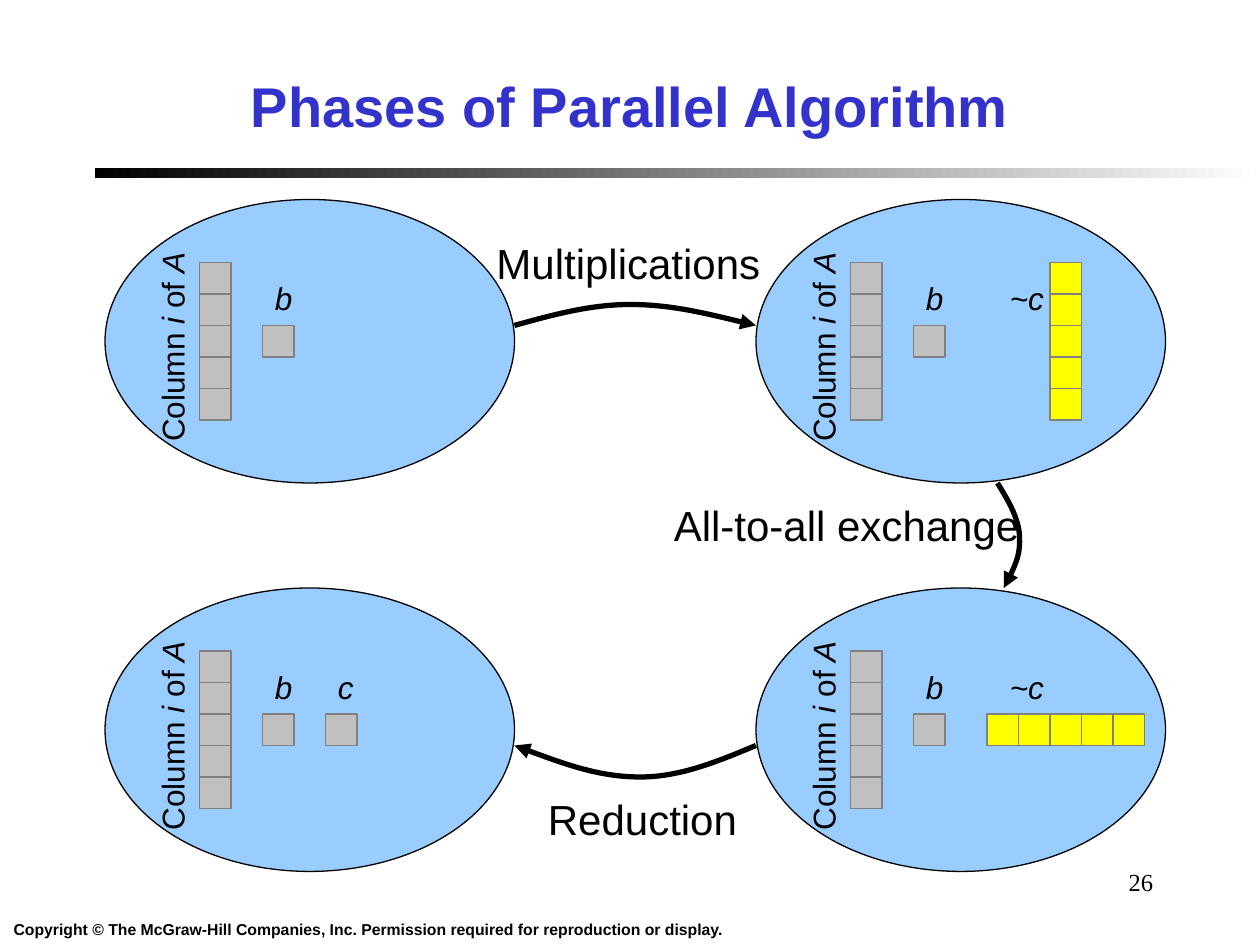
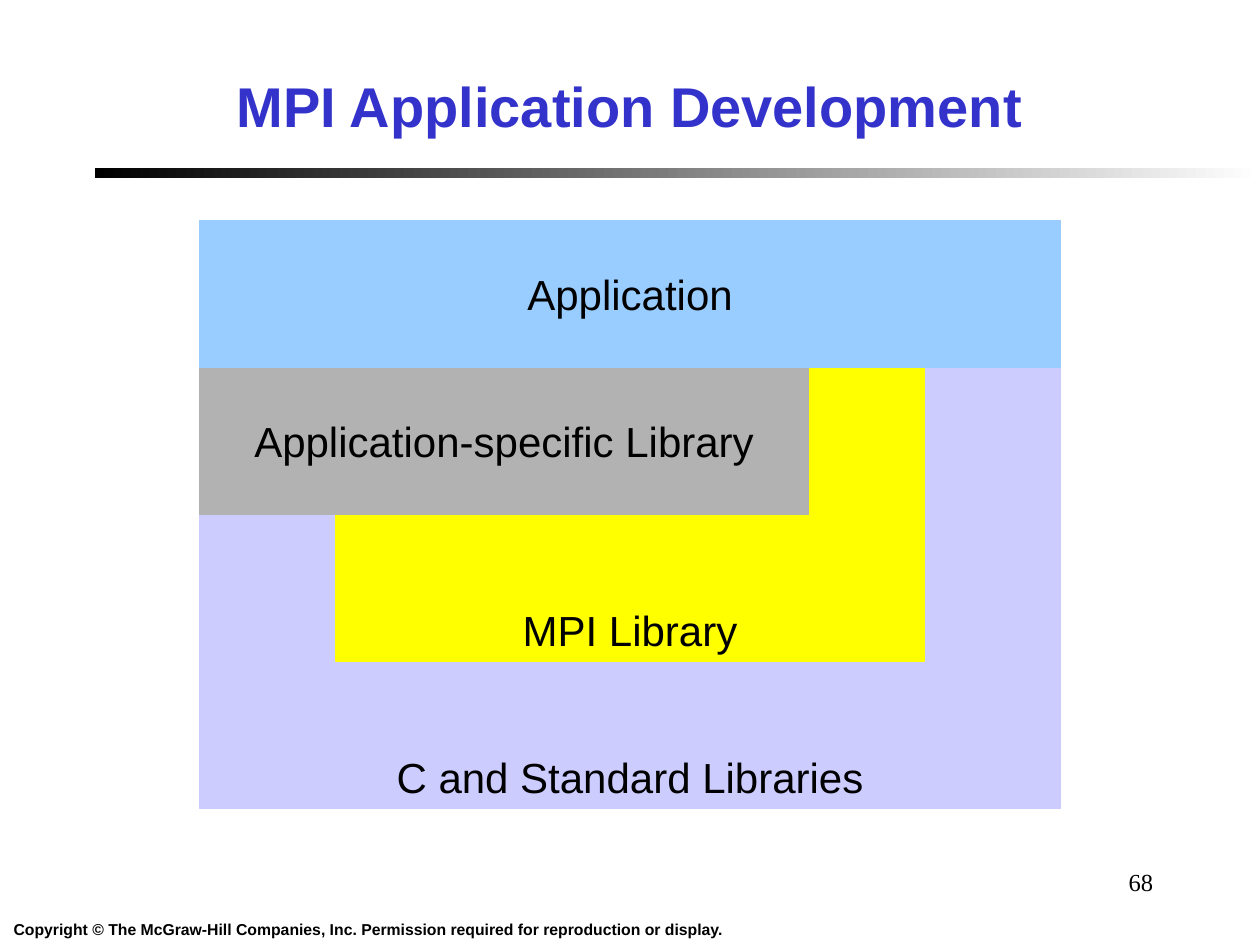
from lxml.etree import SubElement
from pptx import Presentation
from pptx.dml.color import RGBColor
from pptx.enum.shapes import MSO_SHAPE
from pptx.enum.text import MSO_ANCHOR, PP_ALIGN
from pptx.oxml.ns import qn
from pptx.util import Pt

SCALE = 7620
COLORS = {
    "title": "3333CC", "text": "000000", "fade": "FFFFFF", "process": "99CCFF",
    "cell": "C0C0C0", "cell_edge": "808080", "partial": "FFFF00",
    "standard": "CCCCFF", "specific": "B2B2B2",
}
COPYRIGHT = ("Copyright © The McGraw-Hill Companies, Inc. "
             "Permission required for reproduction or display.")

CELL = 30
COLUMN_LENGTH = 5
PROCESS_SIZE = (390, 270)
COLUMN_LABEL = [("Column ", False), ("i", True), (" of ", False), ("A", True)]
COLUMN_CELLS = (90, 60, 0, 1, COLUMN_LENGTH, "cell")
B_CELL = (150, 120, 0, 0, 1, "cell")
B_LABEL = ("b", 150)
PARTIAL_LABEL = ("~c", 230)
LABEL_WIDTH = 70

PROCESSES = [
    {"at": (100, 190), "cells": [], "labels": []},
    {"at": (720, 190), "cells": [(280, 60, 0, 1, COLUMN_LENGTH, "partial")],
     "labels": [PARTIAL_LABEL]},
    {"at": (720, 560), "cells": [(220, 120, 1, 0, COLUMN_LENGTH, "partial")],
     "labels": [PARTIAL_LABEL]},
    {"at": (100, 560), "cells": [(210, 120, 0, 0, 1, "cell")],
     "labels": [("c", 210)]},
]

STEPS = [
    ("Multiplications", (461, 220, 275, 60),
     [(490, 310), (526, 300), (562, 290), (600, 290), (638, 290), (679, 300), (720, 310)]),
    ("All-to-all exchange", (630, 470, 353, 60),
     [(950, 460), (960, 476), (970, 493), (971, 510), (972, 527), (965, 544), (956, 560)]),
    ("Reduction", (510, 750, 204, 60),
     [(720, 710), (684, 725), (648, 740), (610, 740), (571, 740), (530, 725), (490, 710)]),
]

LAYERS = [
    ("C and Standard Libraries", (190, 350, 820, 420), "standard", MSO_ANCHOR.BOTTOM),
    ("MPI Library", (320, 350, 560, 280), "partial", MSO_ANCHOR.BOTTOM),
    ("Application-specific Library", (190, 350, 580, 140), "specific", MSO_ANCHOR.MIDDLE),
    ("Application", (190, 210, 820, 140), "process", MSO_ANCHOR.MIDDLE),
]


def emu(*lengths):
    return [round(length * SCALE) for length in lengths]


def color(name):
    return RGBColor.from_string(COLORS[name])


def write(box, spans, size, align=PP_ALIGN.LEFT, anchor=MSO_ANCHOR.TOP, wrap=False,
          bold=False, ink="text", font="Arial"):
    frame = box.text_frame
    frame.word_wrap = wrap
    frame.vertical_anchor = anchor
    frame.margin_left, frame.margin_top, frame.margin_right, frame.margin_bottom = emu(12, 6, 12, 6)
    para = frame.paragraphs[0]
    para.alignment = align
    for text, italic in spans:
        span = para.add_run()
        span.text = text
        span.font.name = font
        span.font.size = Pt(size)
        span.font.bold = bold
        span.font.italic = italic
        span.font.color.rgb = color(ink)


def add_text(page, area, spans, size, **style):
    box = page.shapes.add_textbox(*emu(*area))
    write(box, spans, size, **style)
    return box


def add_block(page, kind, area, fill, edge):
    block = page.shapes.add_shape(kind, *emu(*area))
    block.shadow.inherit = False
    block.fill.solid()
    block.fill.fore_color.rgb = color(fill)
    block.line.color.rgb = color(edge)
    block.line.width = Pt(0.75)
    return block


def add_curved_arrow(page, points):
    start, *rest = [emu(*point) for point in points]
    builder = page.shapes.build_freeform(*start)
    builder.add_line_segments(rest, close=False)
    arrow = builder.convert_to_shape()
    arrow.shadow.inherit = False
    arrow.fill.background()
    arrow.line.color.rgb = color("text")
    arrow.line.width = Pt(3)
    outline = arrow._element.find(".//" + qn("a:path"))
    segments = outline.findall(qn("a:lnTo"))
    for first in range(0, len(segments), 3):
        curve = SubElement(outline, qn("a:cubicBezTo"))
        for segment in segments[first:first + 3]:
            curve.append(segment[0])
            outline.remove(segment)
    SubElement(arrow.line._get_or_add_ln(), qn("a:tailEnd"), type="triangle")


def add_process(page, process):
    left, top = process["at"]
    add_block(page, MSO_SHAPE.OVAL, (left, top, *PROCESS_SIZE), "process", "text")
    for x, y, across, down, count, fill in [COLUMN_CELLS, B_CELL] + process["cells"]:
        for index in range(count):
            area = (left + x + across * index * CELL, top + y + down * index * CELL, CELL, CELL)
            add_block(page, MSO_SHAPE.RECTANGLE, area, fill, "cell_edge")
    label = add_text(page, (left - 38, top + 117, 204, 48), COLUMN_LABEL, 18,
                     align=PP_ALIGN.RIGHT)
    label.rotation = 270
    for text, x in [B_LABEL] + process["labels"]:
        add_text(page, (left + x, top + 70, LABEL_WIDTH, 48), [(text, True)], 18, wrap=True)


def add_page(deck, title, number):
    page = deck.slides.add_slide(deck.slide_layouts[6])
    band = page.shapes.add_shape(MSO_SHAPE.RECTANGLE, *emu(90, 160, 1110, 10))
    band.shadow.inherit = False
    band.line.fill.background()
    band.fill.gradient()
    band.fill.gradient_angle = 0
    for stop, name in zip(band.fill.gradient_stops, ("text", "fade")):
        stop.color.rgb = color(name)
    add_text(page, (0, 870, 701, 30), [(COPYRIGHT, False)], 9, align=PP_ALIGN.CENTER, bold=True)
    add_text(page, (860, 820, 250, 60), [(number, False)], 14, align=PP_ALIGN.RIGHT,
             wrap=True, font="Times New Roman")
    add_text(page, (30, 40, 1140, 120), [(title, False)], 32, align=PP_ALIGN.CENTER,
             anchor=MSO_ANCHOR.MIDDLE, wrap=True, bold=True, ink="title")
    return page


def main():
    deck = Presentation()
    deck.slide_width, deck.slide_height = emu(1200, 900)

    page = add_page(deck, "Phases of Parallel Algorithm", "26")
    for process in PROCESSES:
        add_process(page, process)
    for text, area, points in STEPS:
        add_curved_arrow(page, points)
        add_text(page, area, [(text, False)], 24)

    page = add_page(deck, "MPI Application Development", "68")
    for text, area, fill, anchor in LAYERS:
        layer = add_block(page, MSO_SHAPE.RECTANGLE, area, fill, fill)
        write(layer, [(text, False)], 24, align=PP_ALIGN.CENTER, anchor=anchor)

    deck.save("out.pptx")


if __name__ == "__main__":
    main()
